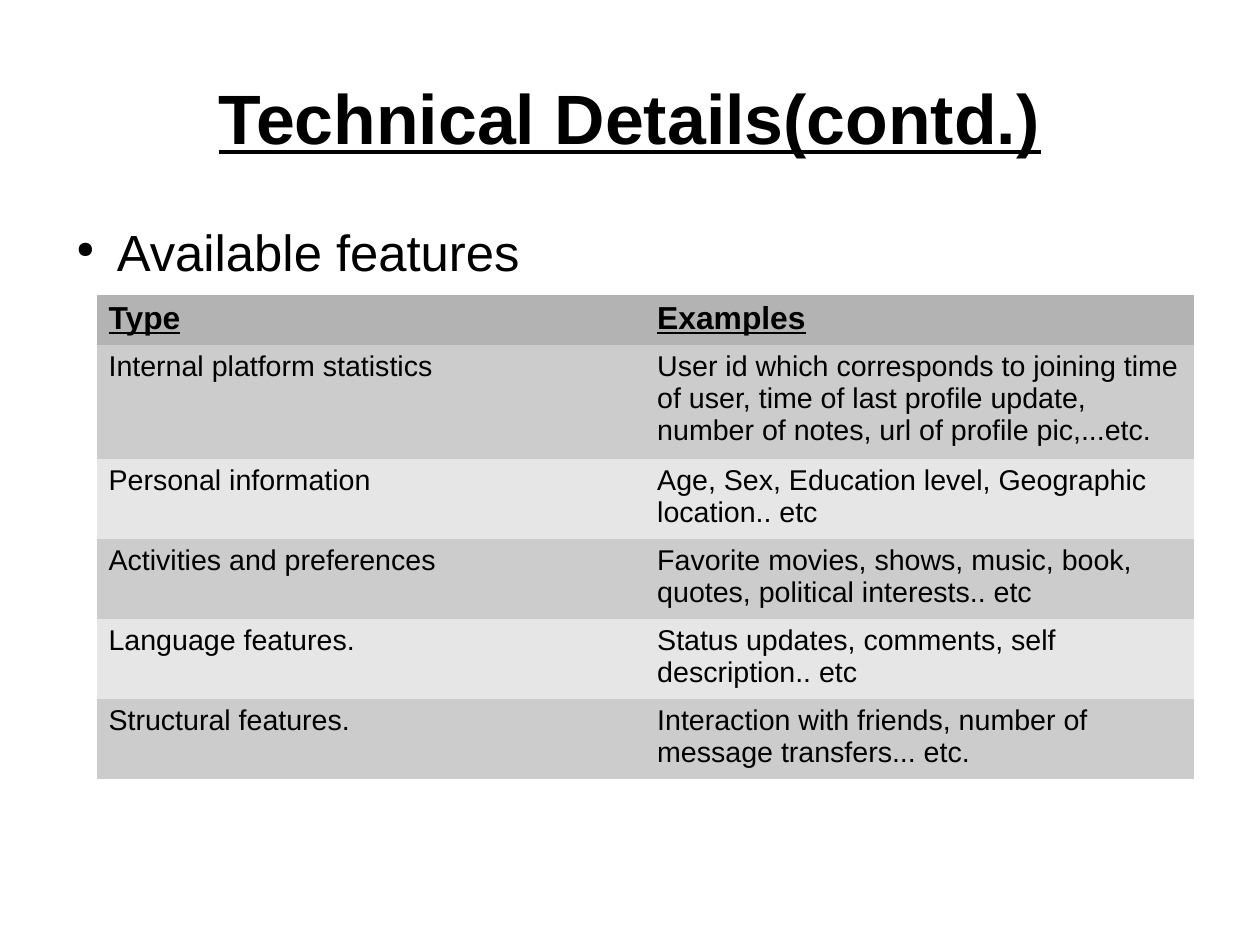
from lxml import etree
from pptx import Presentation
from pptx.dml.color import RGBColor
from pptx.enum.text import MSO_ANCHOR, PP_ALIGN
from pptx.oxml.ns import qn
from pptx.util import Pt

CENTER = PP_ALIGN.CENTER
MIDDLE = MSO_ANCHOR.MIDDLE
NO_GRID_STYLE = "{2D5ABB26-0587-4C30-8999-92F81FD0307C}"
BLACK = "000000"
HEADER_GRAY = "B3B3B3"
BAND_GRAYS = ["CCCCCC", "E6E6E6"]


def style_font(font, size, emphasis=False):
    font.name = "Arial"
    font.size = Pt(size)
    font.bold = emphasis
    font.underline = emphasis
    font.color.rgb = RGBColor.from_string(BLACK)


def add_text(left, top, width, height, text):
    frame = slide.shapes.add_textbox(Pt(left), Pt(top), Pt(width), Pt(height)).text_frame
    frame.word_wrap = True
    frame.margin_left = frame.margin_right = frame.margin_top = frame.margin_bottom = 0
    frame.text = text
    return frame


prs = Presentation()
prs.slide_width, prs.slide_height = Pt(793.7), Pt(595.28)
slide = prs.slides.add_slide(prs.slide_layouts[6])

# Title
title = add_text(39.6, 23.8, 714.2, 99.4, "Technical Details(contd.)")
title.vertical_anchor = MIDDLE
title.paragraphs[0].alignment = CENTER
style_font(title.paragraphs[0].font, 44, emphasis=True)

# Bulleted lead-in
lead_in = add_text(39.6, 139, 714.2, 344.9, "Available features").paragraphs[0]
lead_in.space_after = Pt(14.2)
bullet = lead_in._p.get_or_add_pPr()
bullet.set("marL", str(Pt(34)))
bullet.set("indent", str(-Pt(25.5)))
bullet_color = etree.SubElement(bullet, qn("a:buClr"))
etree.SubElement(bullet_color, qn("a:srgbClr"), val=BLACK)
etree.SubElement(bullet, qn("a:buSzPct"), val="45000")
etree.SubElement(bullet, qn("a:buFont"), typeface="StarSymbol")
etree.SubElement(bullet, qn("a:buChar"), char="●")
style_font(lead_in.font, 32)

# Feature table
features = [
    ("Type", "Examples"),
    ("Internal platform statistics",
     "User id which corresponds to joining time of user, time of last profile update, "
     "number of notes, url of profile pic,...etc."),
    ("Personal information", "Age, Sex, Education level, Geographic location.. etc"),
    ("Activities and preferences",
     "Favorite movies, shows, music, book, quotes, political interests.. etc"),
    ("Language features.", "Status updates, comments, self description.. etc"),
    ("Structural features.", "Interaction with friends, number of message transfers... etc."),
]
row_heights = [29.6, 68] + [47.7] * 4
table_frame = slide.shapes.add_table(
    len(features), 2, Pt(61.2), Pt(185.8), Pt(691.2), Pt(sum(row_heights)))
feature_table = table_frame.table
feature_table.first_row = feature_table.horz_banding = False
feature_table._tbl.tblPr.find(qn("a:tableStyleId")).text = NO_GRID_STYLE

for row_index, (row_texts, row_height) in enumerate(zip(features, row_heights)):
    is_header = row_index == 0
    row = feature_table.rows[row_index]
    row.height = Pt(row_height)
    row_fill = HEADER_GRAY if is_header else BAND_GRAYS[(row_index - 1) % 2]
    for cell, text in zip(row.cells, row_texts):
        cell.text = text
        cell.fill.solid()
        cell.fill.fore_color.rgb = RGBColor.from_string(row_fill)
        # Row heights follow the run fonts
        cell_run = cell.text_frame.paragraphs[0].runs[0]
        style_font(cell_run.font, 20 if is_header else 18, is_header)

prs.save("out.pptx")
